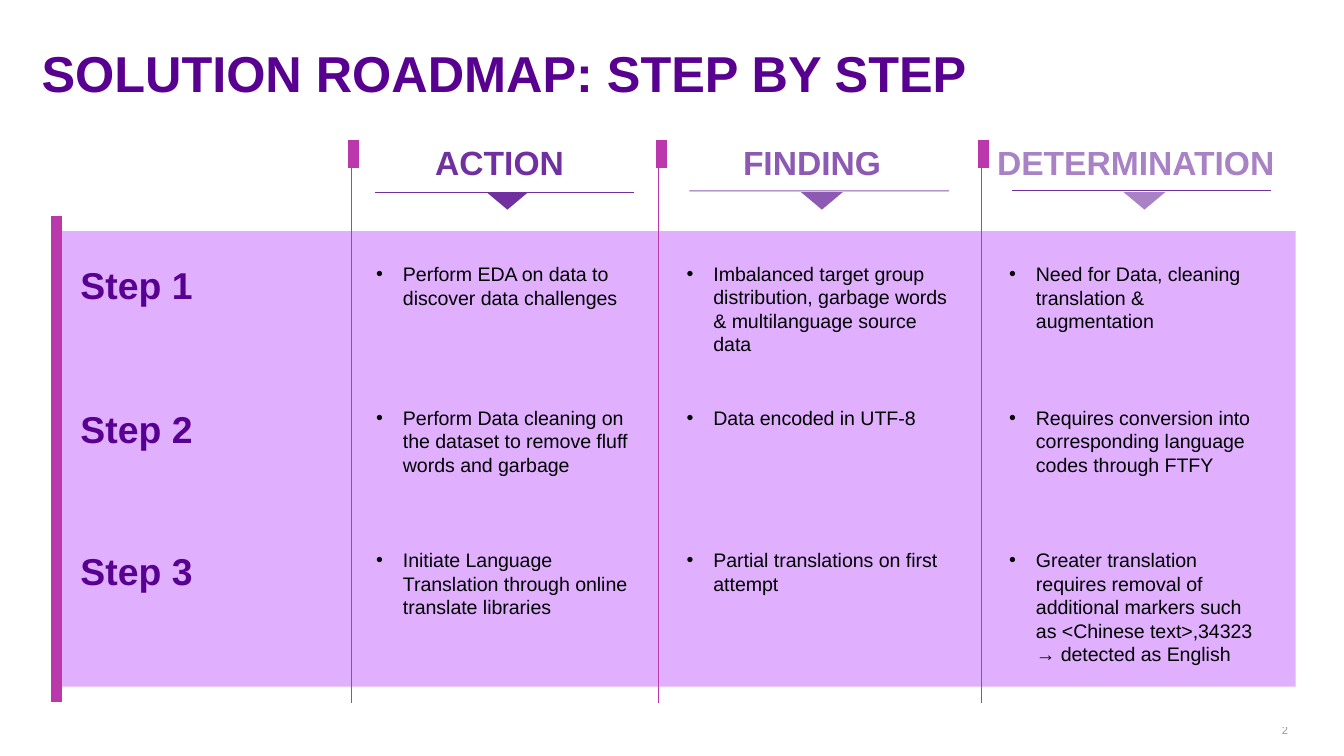
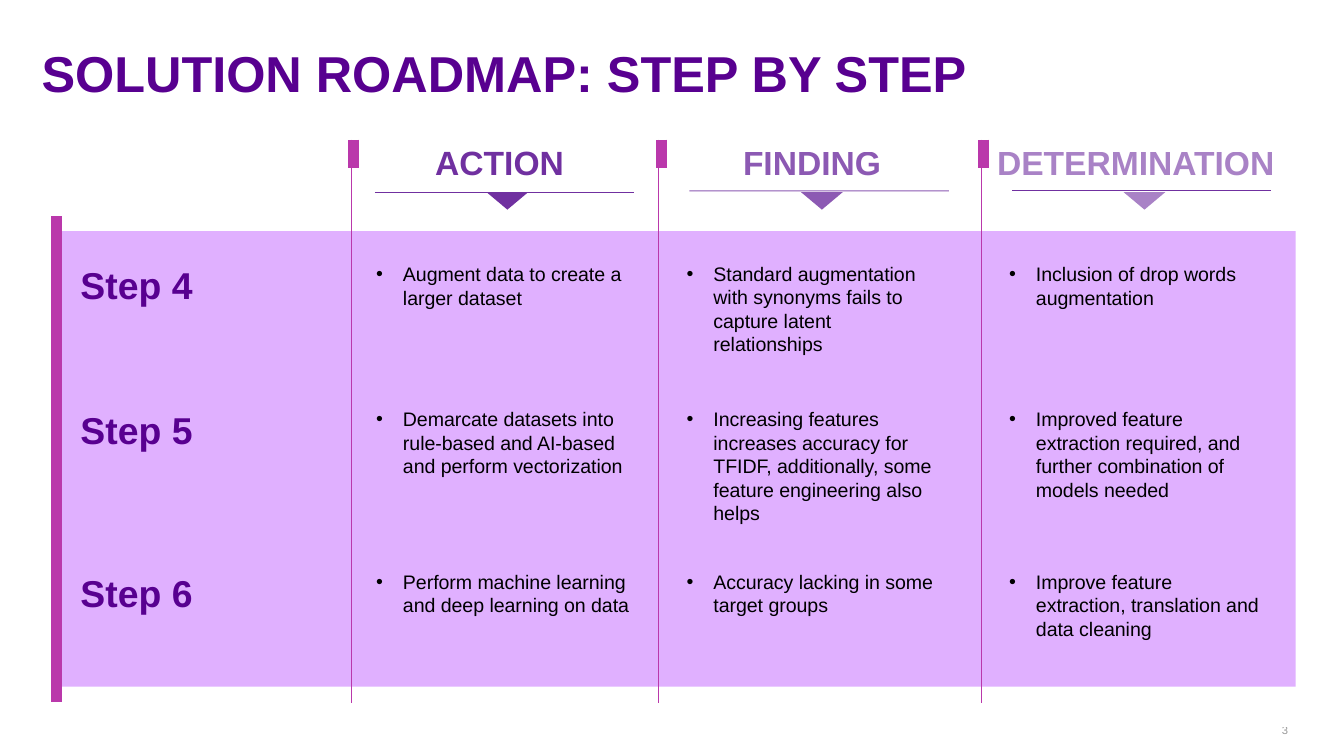
"""Build two roadmap slides, each with three steps set against action, finding and determination."""
import lxml.etree
import pptx
import pptx.dml.color
import pptx.enum.shapes
import pptx.enum.text
import pptx.oxml.ns
import pptx.util

Inches = pptx.util.Inches
Pt = pptx.util.Pt
qn = pptx.oxml.ns.qn
MSO_SHAPE = pptx.enum.shapes.MSO_SHAPE
FIT = pptx.enum.text.MSO_AUTO_SIZE.SHAPE_TO_FIT_TEXT

INDIGO = pptx.dml.color.RGBColor(0x58, 0x00, 0x90)
PURPLE = pptx.dml.color.RGBColor(0x70, 0x30, 0xA0)
MAGENTA = pptx.dml.color.RGBColor(0xBA, 0x38, 0xAB)
LILAC = pptx.dml.color.RGBColor(0xE0, 0xB0, 0xFF)
BLACK = pptx.dml.color.RGBColor(0x00, 0x00, 0x00)

TITLE = {"size": Pt(27), "bold": True, "name": "Arial"}
HEADING = {"size": Pt(18), "bold": True, "name": "Arial"}
STEP = {"size": Pt(20), "bold": True, "name": "Arial"}
BODY = {"size": Pt(10.5), "bold": False, "name": "Arial"}
NUMBER = {"size": Pt(6), "bold": False, "name": "Arial"}

BAND_LEFT, BAND_TOP, BAND_W, BAND_H = 0.42, 1.72, 9.22, 3.39
LINE_TOP, MARK_END, LINE_END = 1.04, 1.25, 5.23
RULE_W, ARROW_W, ARROW_H = 1.93, 0.31, 0.13
STEP_LEFT, CELL_W, WIDE_W = 0.5, 2.11, 2.18
LINE_H, INSET = 0.177, 0.1

COLUMNS = [
    {"head": "ACTION", "line": 2.61, "rule": 2.79, "rule_y": 1.43,
     "head_at": 3.14, "head_w": 1.24, "cell": 2.7, "alpha": 100, "rule_alpha": 100},
    {"head": "FINDING", "line": 4.9, "rule": 5.13, "rule_y": 1.42,
     "head_at": 5.43, "head_w": 1.32, "cell": 5.01, "alpha": 80, "rule_alpha": 80},
    {"head": "DETERMINATION", "line": 7.3, "rule": 7.53, "rule_y": 1.42,
     "head_at": 7.32, "head_w": 2.42, "cell": 7.41, "alpha": 60, "rule_alpha": 100},
]

SLIDES = [
    [
        ("Step 1", 1.9, [
            ("Perform EDA on data to discover data challenges", 3, CELL_W),
            ("Imbalanced target group distribution, garbage words & multilanguage source data",
             4, WIDE_W),
            ("Need for Data, cleaning translation & augmentation", 3, CELL_W)]),
        ("Step 2", 2.97, [
            ("Perform Data cleaning on the dataset to remove fluff words and garbage", 4, CELL_W),
            ("Data encoded in UTF-8", 1, CELL_W),
            ("Requires conversion into corresponding language codes through FTFY", 4, CELL_W)]),
        ("Step 3", 4.03, [
            ("Initiate Language Translation through online translate libraries", 3, WIDE_W),
            ("Partial translations on first attempt", 2, CELL_W),
            ("Greater translation requires removal of additional markers such as "
             "<Chinese text>,34323 → detected as English", 5, CELL_W)]),
    ],
    [
        ("Step 4", 1.9, [
            ("Augment data to create a larger dataset", 2, CELL_W),
            ("Standard augmentation with synonyms fails to capture latent relationships",
             4, CELL_W),
            ("Inclusion of drop words augmentation", 2, CELL_W)]),
        ("Step 5", 2.98, [
            ("Demarcate datasets into rule-based and AI-based and perform vectorization",
             4, CELL_W),
            ("Increasing features increases accuracy for TFIDF, additionally, "
             "some feature engineering also helps", 5, CELL_W),
            ("Improved feature extraction required, and further combination of models needed",
             4, CELL_W)]),
        ("Step 6", 4.19, [
            ("Perform machine learning and deep learning on data", 3, CELL_W),
            ("Accuracy lacking in some target groups", 2, CELL_W),
            ("Improve feature extraction, translation and data cleaning", 3, CELL_W)]),
    ],
]


def paint(fill, color, alpha=100):
    """Fill with a solid colour at the given opacity in percent."""
    fill.solid()
    fill.fore_color.rgb = color
    if alpha < 100:
        clr = next(fill._xPr.iter(qn("a:srgbClr")))
        lxml.etree.SubElement(clr, qn("a:alpha"), val=str(alpha * 1000))


def add_text(s, text, box, style, color, alpha=100, bullet=False, **frame):
    """Add a one-paragraph text box and return its text frame."""
    tf = s.shapes.add_textbox(*[Inches(v) for v in box]).text_frame
    for key, value in {"word_wrap": True, **frame}.items():
        setattr(tf, key, value)
    p = tf.paragraphs[0]
    if bullet:
        pPr = p._p.get_or_add_pPr()
        pPr.set("marL", str(Inches(0.2)))
        pPr.set("indent", str(Inches(-0.2)))
        lxml.etree.SubElement(pPr, qn("a:buFont"), typeface="Arial")
        lxml.etree.SubElement(pPr, qn("a:buChar"), char="•")
    r = p.add_run()
    r.text = text
    for key, value in style.items():
        setattr(r.font, key, value)
    paint(r.font.fill, color, alpha)
    return tf


prs = pptx.Presentation()
prs.slide_width, prs.slide_height = Inches(10), Inches(5.625)

for number, steps in enumerate(SLIDES, start=2):
    s = prs.slides.add_slide(prs.slide_layouts[6])
    add_text(s, str(number), (9.44, 5.35, 0.32, 0.17), NUMBER, BLACK, 40,
             vertical_anchor=pptx.enum.text.MSO_ANCHOR.MIDDLE)
    tf = add_text(s, "SOLUTION ROADMAP: STEP BY STEP", (0.31, 0.31, 9.38, 0.81), TITLE, INDIGO,
                  margin_left=0, margin_right=0, margin_top=Inches(0.09), margin_bottom=0)
    tf.paragraphs[0].line_spacing = 0.8

    shapes = [(MSO_SHAPE.RECTANGLE, (BAND_LEFT, BAND_TOP, BAND_W, BAND_H), LILAC, 100, 0)]
    lines = [(BAND_LEFT, 1.61, BAND_LEFT, 5.22, MAGENTA, 6, 100)]
    for col in COLUMNS:
        x, mark = col["line"], col["line"] + 0.02
        rule, y = col["rule"], col["rule_y"]
        lines += [(x, LINE_TOP, x, LINE_END, MAGENTA, 0.25, 100),
                  (mark, LINE_TOP, mark, MARK_END, MAGENTA, 6, 100),
                  (rule, y, rule + RULE_W, y, PURPLE, 0.5, col["rule_alpha"])]
        shapes.append((MSO_SHAPE.ISOSCELES_TRIANGLE, (rule + 0.83, 1.43, ARROW_W, ARROW_H),
                       PURPLE, col["alpha"], 180))

    for kind, box, color, alpha, turn in shapes:
        sp = s.shapes.add_shape(kind, *[Inches(v) for v in box])
        sp.shadow.inherit = False
        sp.rotation = turn
        sp.line.fill.background()
        paint(sp.fill, color, alpha)

    for x1, y1, x2, y2, color, width, alpha in lines:
        cn = s.shapes.add_connector(pptx.enum.shapes.MSO_CONNECTOR.STRAIGHT,
                                    *[Inches(v) for v in (x1, y1, x2, y2)])
        cn.line.width = Pt(width)
        paint(cn.line.fill, color, alpha)
        lxml.etree.SubElement(cn._element.spPr, qn("a:effectLst"))

    for col in COLUMNS:
        add_text(s, col["head"], (col["head_at"], 1.01, col["head_w"], 0.4), HEADING, PURPLE,
                 col["alpha"], word_wrap=False, auto_size=FIT)

    for name, top, cells in steps:
        add_text(s, name, (STEP_LEFT, top, CELL_W, 0.44), STEP, INDIGO, auto_size=FIT)
        for col, (text, rows, width) in zip(COLUMNS, cells):
            add_text(s, text, (col["cell"], top, width, INSET + rows * LINE_H), BODY, BLACK,
                     bullet=True, auto_size=FIT)

prs.save("out.pptx")
